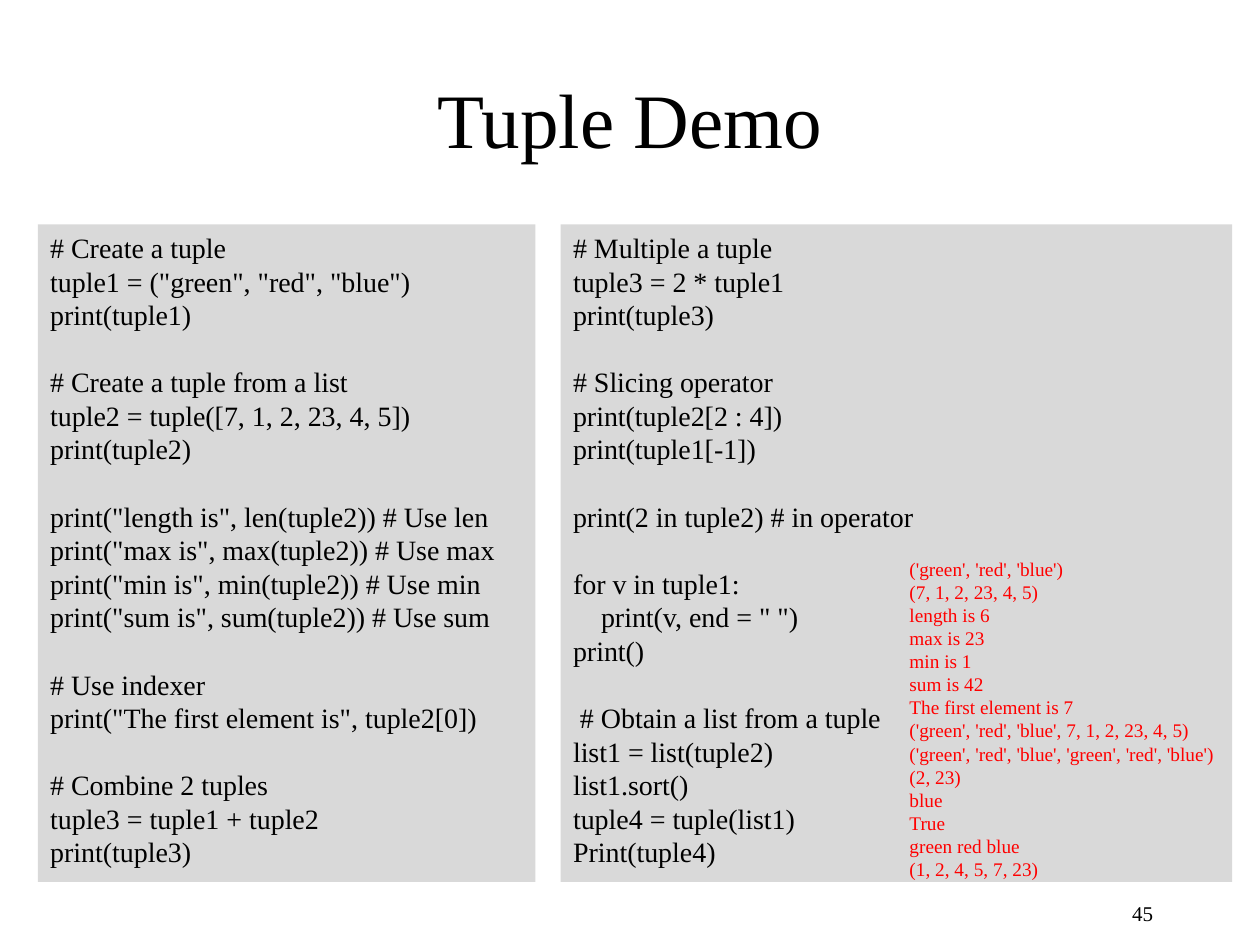
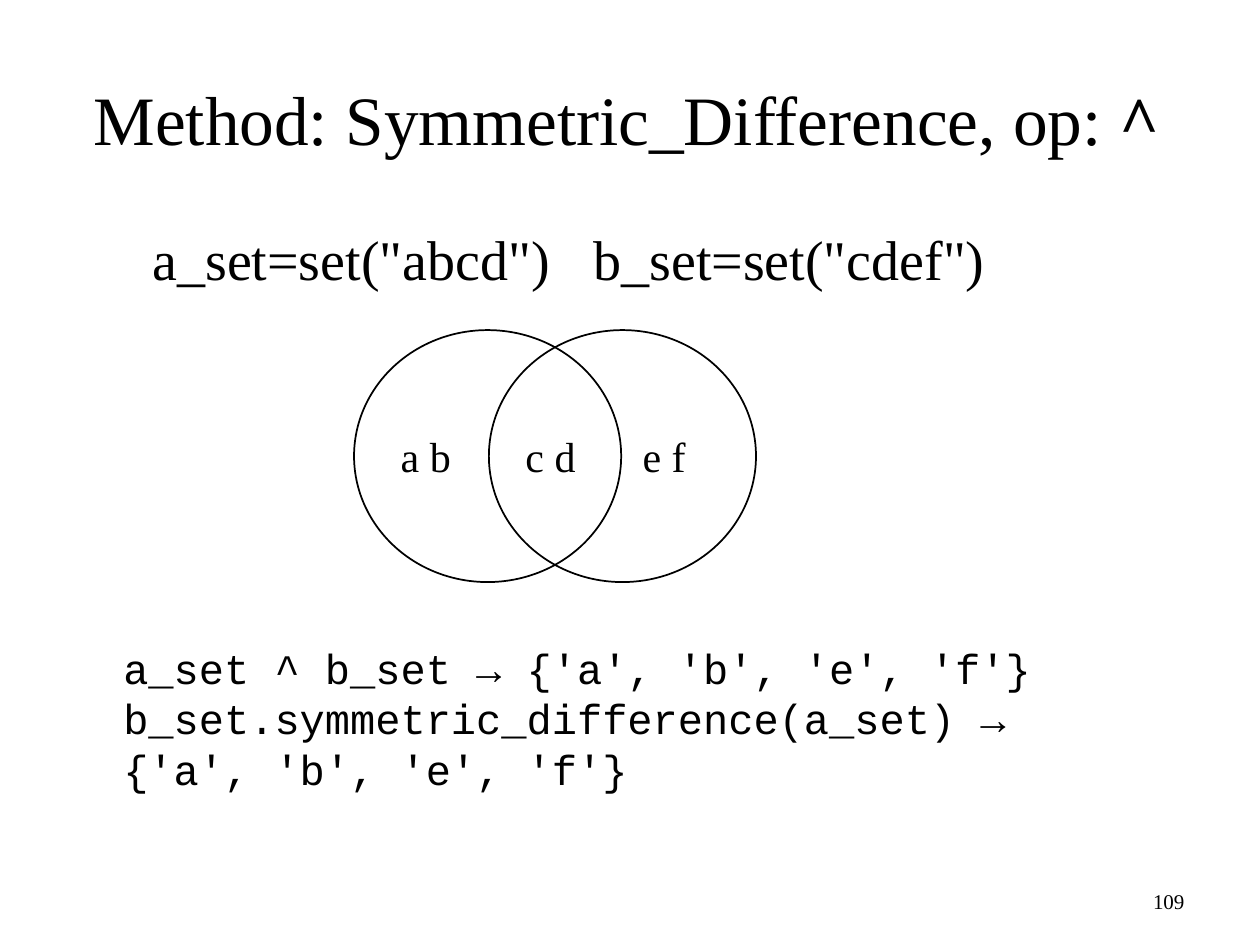
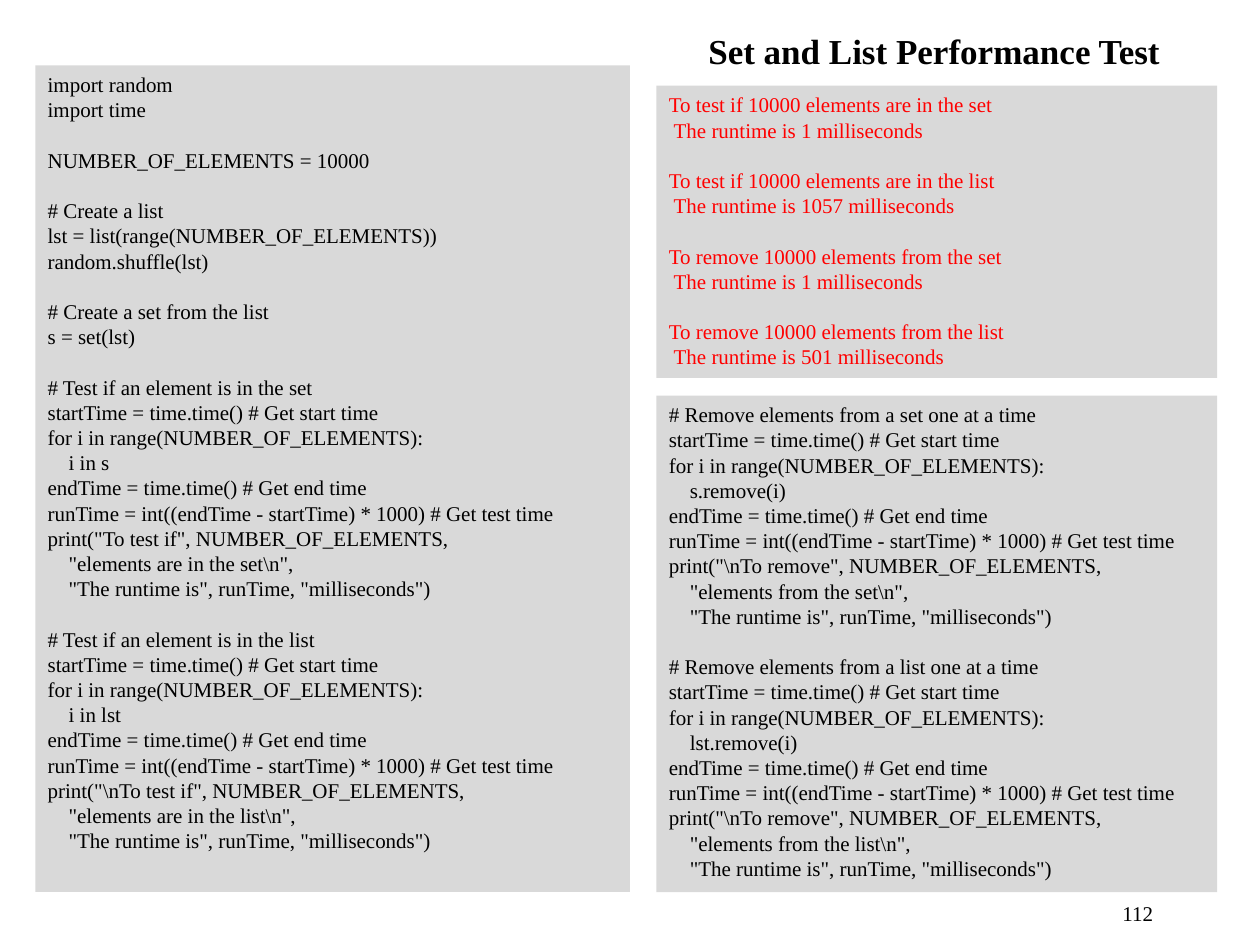
from dataclasses import dataclass

from lxml.etree import SubElement
from pptx import Presentation
from pptx.dml.color import RGBColor
from pptx.enum.shapes import MSO_SHAPE
from pptx.enum.text import MSO_ANCHOR, MSO_AUTO_SIZE, PP_ALIGN
from pptx.oxml.ns import qn
from pptx.util import Inches, Pt

SLIDE_WIDTH, SLIDE_HEIGHT = Inches(10), Inches(7.5)
COLUMN, ROW = SLIDE_WIDTH / 100, SLIDE_HEIGHT / 75
TITLE_AND_BODY, TITLE_ONLY = 1, 5
SERIF, MONO = "Times New Roman", "Courier New"
BLACK, RED, GREY = "000000", "FF0000", "D9D9D9"
LINE_HEIGHT = 1.2
CODE_INDENT = " " * 4


@dataclass(frozen=True)
class Area:
    column: float
    row: float
    columns: float
    rows: float

    def lengths(self) -> tuple[int, int, int, int]:
        return (round(self.column * COLUMN), round(self.row * ROW),
                round(self.columns * COLUMN), round(self.rows * ROW))


@dataclass(frozen=True)
class TextBlock:
    area: Area
    text: str
    size: float
    color: str = BLACK
    font: str = SERIF
    fill: str | None = None


@dataclass(frozen=True)
class SetCircle:
    area: Area
    text: str
    inset: float
    tab: float


TITLE_AREA = Area(7.5, 3.1, 85, 12.5)
NUMBER_AREA = Area(71.7, 70, 20.8, 5)

TUPLE_BASICS = '''# Create a tuple
tuple1 = ("green", "red", "blue")
print(tuple1)

# Create a tuple from a list
tuple2 = tuple([7, 1, 2, 23, 4, 5])
print(tuple2)

print("length is", len(tuple2)) # Use len
print("max is", max(tuple2)) # Use max
print("min is", min(tuple2)) # Use min
print("sum is", sum(tuple2)) # Use sum

# Use indexer
print("The first element is", tuple2[0])

# Combine 2 tuples
tuple3 = tuple1 + tuple2
print(tuple3)'''

TUPLE_OPERATORS = '''# Multiple a tuple
tuple3 = 2 * tuple1
print(tuple3)

# Slicing operator
print(tuple2[2 : 4])
print(tuple1[-1])

print(2 in tuple2) # in operator

for v in tuple1:
    print(v, end = " ")
print()

 # Obtain a list from a tuple
list1 = list(tuple2)
list1.sort()
tuple4 = tuple(list1)
Print(tuple4)'''

TUPLE_OUTPUT = """('green', 'red', 'blue')
(7, 1, 2, 23, 4, 5)
length is 6
max is 23
min is 1
sum is 42
The first element is 7
('green', 'red', 'blue', 7, 1, 2, 23, 4, 5)
('green', 'red', 'blue', 'green', 'red', 'blue')
(2, 23)
blue
True
green red blue
(1, 2, 4, 5, 7, 23)"""

SYMMETRIC_DIFFERENCE = """a_set ^ b_set → {'a', 'b', 'e', 'f'}
b_set.symmetric_difference(a_set) → {'a', 'b', 'e', 'f'}"""

SAMPLE_SETUP = '''import random
import time

NUMBER_OF_ELEMENTS = 10000

# Create a list
lst = list(range(NUMBER_OF_ELEMENTS))
random.shuffle(lst)

# Create a set from the list
s = set(lst)'''

RUNTIMES = {
    "To test if 10000 elements are in the set": 1,
    "To test if 10000 elements are in the list": 1057,
    "To remove 10000 elements from the set": 1,
    "To remove 10000 elements from the list": 501,
}


def timing_code(comment: str, step: str, action: str, place: str) -> str:
    return rf'''# {comment}
startTime = time.time() # Get start time
for i in range(NUMBER_OF_ELEMENTS):
    {step}
endTime = time.time() # Get end time
runTime = int((endTime - startTime) * 1000) # Get test time
print("{action}", NUMBER_OF_ELEMENTS,
    "elements {place}\n",
    "The runtime is", runTime, "milliseconds")'''


def color_of(value: str) -> RGBColor:
    return RGBColor.from_string(value)


def add_span(para, text: str, *, size: float, font: str = SERIF,
             color: str = BLACK, bold: bool = False) -> None:
    span = para.add_run()
    span.text = text
    span.font.size = Pt(size)
    span.font.name = font
    span.font.bold = bold
    span.font.color.rgb = color_of(color)


def write_text(frame, text: str, *, size: float, align=PP_ALIGN.LEFT,
               anchor=MSO_ANCHOR.TOP, leading: float | None = None, **style):
    frame.word_wrap = True
    frame.auto_size = MSO_AUTO_SIZE.NONE
    frame.vertical_anchor = anchor
    para = None
    gap = 0.0
    for line in text.split("\n"):
        if not line:
            gap = LINE_HEIGHT * size
            continue
        para = frame.add_paragraph() if para else frame.paragraphs[0]
        para.alignment = align
        if leading:
            para.line_spacing = Pt(leading * size)
        para.space_before = Pt(gap)
        gap = 0.0
        if line.startswith(CODE_INDENT):
            para._p.get_or_add_pPr().set("marL", str(Pt(size)))
            line = line.removeprefix(CODE_INDENT)
        add_span(para, line, size=size, **style)
    return para


def set_tab(para, columns: float) -> None:
    stops = SubElement(para._p.get_or_add_pPr(), qn("a:tabLst"))
    SubElement(stops, qn("a:tab"), pos=str(round(columns * COLUMN)), algn="l")


def place(shape, area: Area) -> None:
    shape.left, shape.top, shape.width, shape.height = area.lengths()


def add_page(deck, title: str, number: str, *, layout: int = TITLE_ONLY,
             title_area: Area = TITLE_AREA, number_area: Area = NUMBER_AREA,
             size: float = 44, bold: bool = False):
    page = deck.slides.add_slide(deck.slide_layouts[layout])
    place(page.shapes.title, title_area)
    write_text(page.shapes.title.text_frame, title, size=size, bold=bold,
               align=PP_ALIGN.CENTER, anchor=MSO_ANCHOR.MIDDLE)
    box = page.shapes.add_textbox(*number_area.lengths())
    write_text(box.text_frame, number, size=12, align=PP_ALIGN.RIGHT,
               anchor=MSO_ANCHOR.MIDDLE)
    return page


def add_block(page, block: TextBlock) -> None:
    if block.fill:
        box = page.shapes.add_shape(MSO_SHAPE.RECTANGLE, *block.area.lengths())
        box.shadow.inherit = False
        box.fill.solid()
        box.fill.fore_color.rgb = color_of(block.fill)
        box.line.fill.background()
    else:
        box = page.shapes.add_textbox(*block.area.lengths())
    write_text(box.text_frame, block.text, size=block.size, color=block.color,
               font=block.font, leading=LINE_HEIGHT)


def add_circle(page, circle: SetCircle) -> None:
    oval = page.shapes.add_shape(MSO_SHAPE.OVAL, *circle.area.lengths())
    oval.shadow.inherit = False
    oval.fill.background()
    oval.line.color.rgb = color_of(BLACK)
    oval.line.width = Pt(1)
    frame = oval.text_frame
    frame.margin_left = round(circle.inset * COLUMN)
    frame.margin_right = 0
    para = write_text(frame, circle.text, size=24, anchor=MSO_ANCHOR.MIDDLE)
    if circle.tab:
        set_tab(para, circle.tab)


def build_tuple_demo(deck) -> None:
    page = add_page(deck, "Tuple Demo", "45")
    for block in (
        TextBlock(Area(3, 17.8, 39.5, 52.2), TUPLE_BASICS, 16, fill=GREY),
        TextBlock(Area(44.5, 17.8, 53.3, 52.2), TUPLE_OPERATORS, 16, fill=GREY),
        TextBlock(Area(71.2, 43.7, 26.7, 26.9), TUPLE_OUTPUT, 11, RED),
    ):
        add_block(page, block)


def build_symmetric_difference(deck) -> None:
    page = add_page(deck, "Method: Symmetric_Difference, op: ", "109",
                    layout=TITLE_AND_BODY, size=39.6,
                    title_area=Area(2.5, 3.1, 94.5, 12.5),
                    number_area=Area(71.7, 69.5, 23.3, 4))
    add_span(page.shapes.title.text_frame.paragraphs[0], "^", size=39.6, bold=True)

    body = page.placeholders[1]
    place(body, Area(6.6, 17.3, 87.5, 51.6))
    body.text_frame.margin_left = round(5.5 * COLUMN)
    para = write_text(body.text_frame, 'a_set=set("abcd")\tb_set=set("cdef")', size=32)
    para.space_before = Pt(6.4)
    properties = para._p.get_or_add_pPr()
    properties.set("marL", "0")
    properties.set("indent", "0")
    SubElement(properties, qn("a:buNone"))
    set_tab(para, 42.7)

    add_block(page, TextBlock(Area(8.8, 50.5, 83.2, 15.4),
                              SYMMETRIC_DIFFERENCE, 24, font=MONO))
    for circle in (
        SetCircle(Area(38.8, 26.2, 21.2, 20), "e f", inset=9.1, tab=0),
        SetCircle(Area(28.1, 26.2, 21.2, 20), "a b\tc d", inset=0.6, tab=9.9),
    ):
        add_circle(page, circle)


def build_performance_test(deck) -> None:
    page = add_page(deck, "Set and List Performance Test", "112", size=20,
                    bold=True, title_area=Area(54.8, 1.3, 38.7, 5.4))
    membership = "\n\n".join((
        SAMPLE_SETUP,
        timing_code("Test if an element is in the set", "i in s",
                    "To test if", "are in the set"),
        timing_code("Test if an element is in the list", "i in lst",
                    r"\nTo test if", "are in the list"),
    ))
    removal = "\n\n".join(
        timing_code(f"Remove elements from a {kind} one at a time",
                    f"{name}.remove(i)", r"\nTo remove", f"from the {kind}")
        for kind, name in (("set", "s"), ("list", "lst"))
    )
    report = "\n\n".join(f"{task}\n The runtime is {runtime} milliseconds"
                         for task, runtime in RUNTIMES.items())
    for block in (
        TextBlock(Area(2.8, 5.2, 47.2, 65.6), membership, 12, fill=GREY),
        TextBlock(Area(52.1, 31.4, 44.5, 39.4), removal, 12, fill=GREY),
        TextBlock(Area(52.1, 6.8, 44.5, 23.2), report, 12, RED, fill=GREY),
    ):
        add_block(page, block)


def main() -> None:
    deck = Presentation()
    deck.slide_width, deck.slide_height = SLIDE_WIDTH, SLIDE_HEIGHT
    build_tuple_demo(deck)
    build_symmetric_difference(deck)
    build_performance_test(deck)
    deck.save("out.pptx")


if __name__ == "__main__":
    main()
